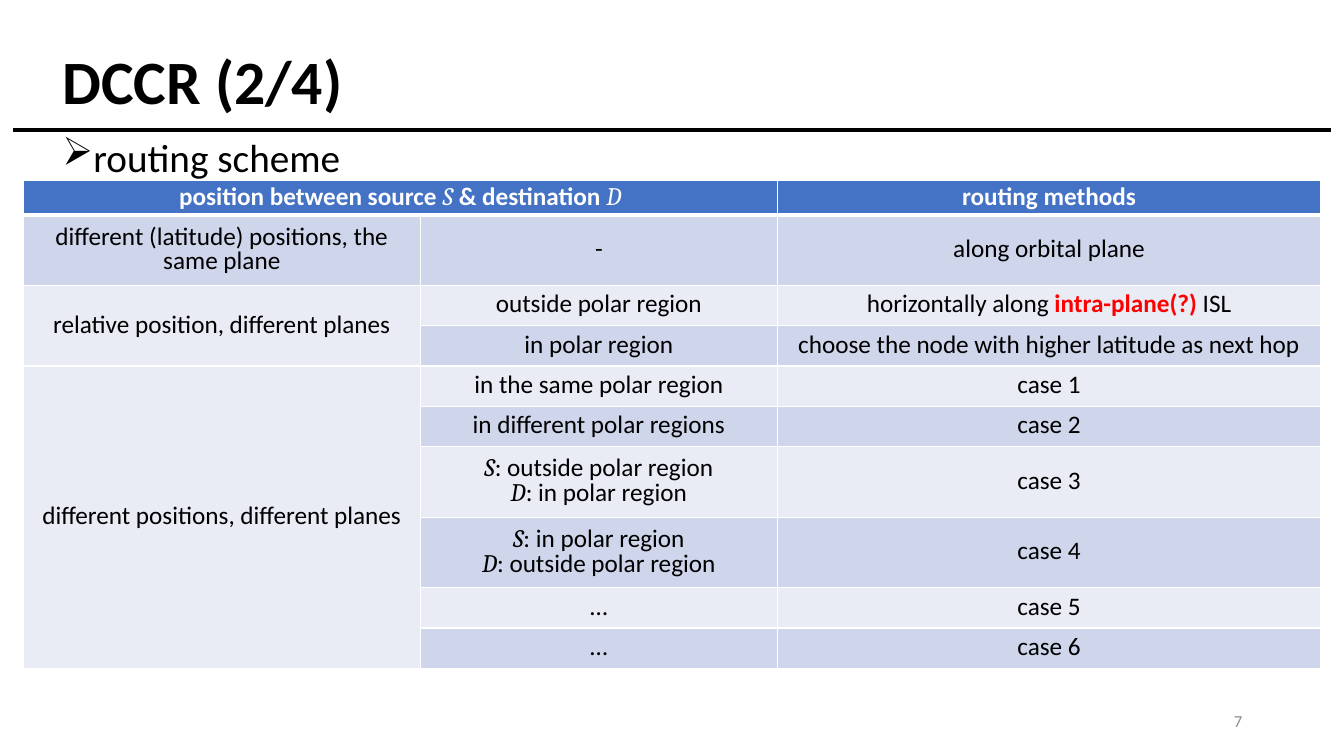
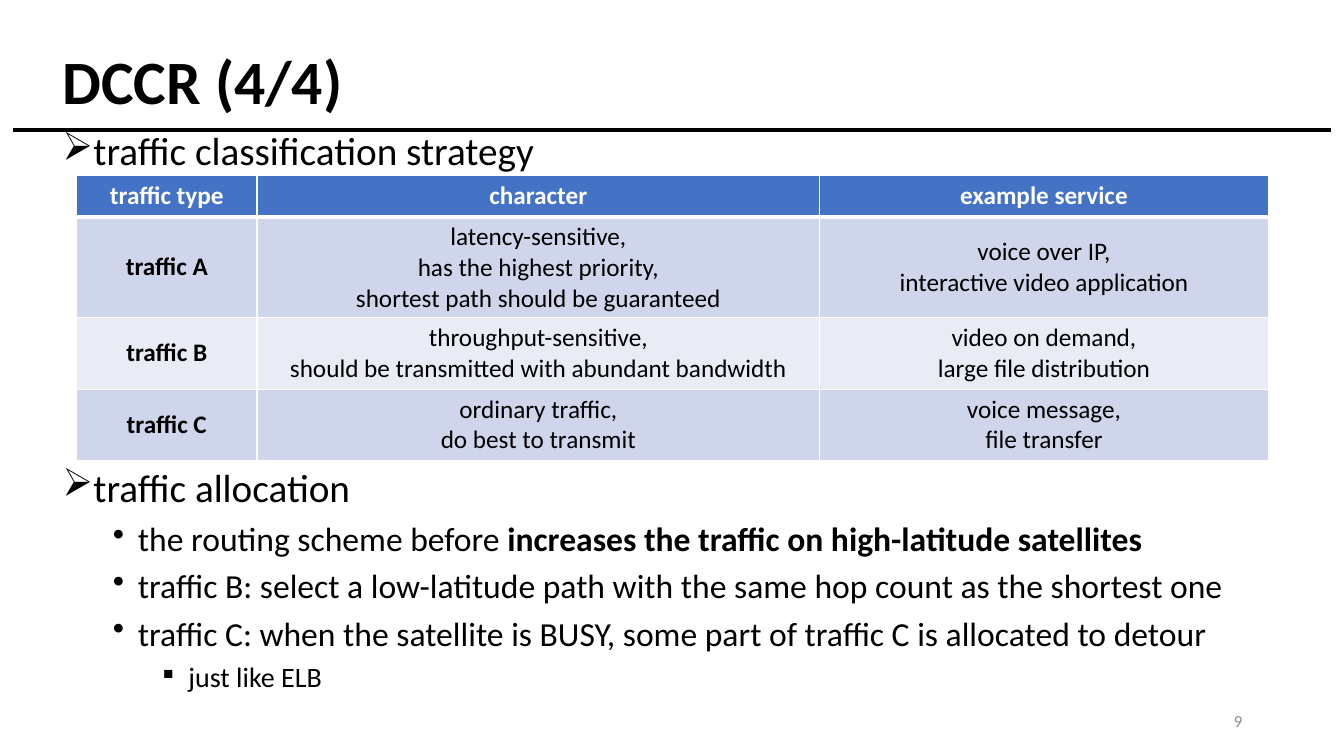
"""Builds two slides on the DCCR routing scheme and its traffic classes."""
from dataclasses import dataclass

from lxml import etree
from pptx import Presentation
from pptx import util as u
from pptx.dml.color import RGBColor
from pptx.enum import shapes, text
from pptx.oxml import ns


@dataclass(frozen=True)
class Theme:
    """Colours, fonts and type sizes of the deck."""
    black: str = "000000"
    white: str = "FFFFFF"
    red: str = "FF0000"
    grey: str = "8C8C8C"
    header: str = "4472C4"
    bands: tuple = ("E9EBF5", "CFD5EA")
    font: str = "Calibri"
    math_font: str = "Cambria"
    title_size: int = 44
    table_size: int = 18
    number_size: int = 12
    level_sizes: tuple = (28, 24, 20)


@dataclass(frozen=True)
class Span:
    """A piece of text that differs from the rest of its paragraph."""
    text: str
    font: str | None = None
    bold: bool | None = None
    italic: bool | None = None
    colour: str | None = None


THEME = Theme()
BULLETS = (("➢", 100), ("•", 100), ("■", 50))
SOURCE = Span("S", font=THEME.math_font, bold=False, italic=True)
DESTINATION = Span("D", font=THEME.math_font, bold=False, italic=True)

ROUTING_ROWS = [
    [("position between source ", SOURCE, " & destination ", DESTINATION), "", "routing methods"],
    ["different (latitude) positions, the same plane", "-", "along orbital plane"],
    ["relative position, different planes", "outside polar region",
     ("horizontally along ", Span("intra-plane(?)", bold=True, colour=THEME.red), " ISL")],
    ["", "in polar region", "choose the node with higher latitude as next hop"],
    ["different positions, different planes", "in the same polar region", "case 1"],
    ["", "in different polar regions", "case 2"],
    ["", [(SOURCE, ": outside polar region"), (DESTINATION, ": in polar region")], "case 3"],
    ["", [(SOURCE, ": in polar region"), (DESTINATION, ": outside polar region")], "case 4"],
    ["", "…", "case 5"],
    ["", "…", "case 6"],
]
ROUTING_MERGES = [(0, 0, 0, 1), (2, 0, 3, 0), (4, 0, 9, 0)]

TRAFFIC_ROWS = [
    ["traffic type", "character", "example service"],
    ["traffic A",
     ["latency-sensitive,", "has the highest priority,", "shortest path should be guaranteed"],
     ["voice over IP,", "interactive video application"]],
    ["traffic B",
     ["throughput-sensitive,", "should be transmitted with abundant bandwidth"],
     ["video on demand,", "large file distribution"]],
    ["traffic C",
     ["ordinary traffic,", "do best to transmit"],
     ["voice message,", "file transfer"]],
]

ALLOCATION = [
    (0, "traffic allocation"),
    (1, ("the routing scheme before ",
         Span("increases the traffic on high-latitude satellites", bold=True))),
    (1, "traffic B: select a low-latitude path with the same hop count as the shortest one"),
    (1, "traffic C: when the satellite is BUSY, some part of traffic C is allocated to detour"),
    (2, "just like ELB"),
]


def style_font(font, size, colour, bold=False):
    """Set the common properties of a font."""
    font.name = THEME.font
    font.size = u.Pt(size)
    font.bold = bold
    font.color.rgb = RGBColor.from_string(colour)


def write_spans(para, content):
    """Write a string, or a tuple of strings and spans, into a paragraph."""
    for piece in (content,) if isinstance(content, str) else content:
        span = Span(piece) if isinstance(piece, str) else piece
        run = para.add_run()
        run.text = span.text
        if span.font:
            run.font.name = span.font
        if span.bold is not None:
            run.font.bold = span.bold
        if span.italic is not None:
            run.font.italic = span.italic
        if span.colour:
            run.font.color.rgb = RGBColor.from_string(span.colour)


def paragraphs(frame, count):
    """Return the given number of paragraphs of an empty text frame."""
    return [frame.paragraphs[0]] + [frame.add_paragraph() for _ in range(count - 1)]


def set_bullet(para, level):
    """Give a paragraph the bullet and hanging indent of its level."""
    char, percent = BULLETS[level]
    props = para._p.get_or_add_pPr()
    props.set("marL", str(u.Inches(0.25 + 0.5 * level)))
    props.set("indent", str(u.Inches(-0.25)))
    etree.SubElement(props, ns.qn("a:buSzPct"), val=str(percent * 1000))
    etree.SubElement(props, ns.qn("a:buChar"), char=char)


def add_text_box(page, left, top, width, height):
    """Add a wrapping text box and return its frame."""
    box = page.shapes.add_textbox(*map(u.Inches, (left, top, width, height)))
    box.text_frame.word_wrap = True
    return box.text_frame


def add_bullets(page, top, height, items, line_spacing=0.9):
    """Add a list of (level, content) bullets."""
    frame = add_text_box(page, 0.52, top, 12.29, height)
    for para, (level, content) in zip(paragraphs(frame, len(items)), items):
        set_bullet(para, level)
        para.level = level
        para.space_before = u.Pt(5 if level else 10)
        para.line_spacing = 1.0 if level else line_spacing
        style_font(para.font, THEME.level_sizes[level], THEME.black)
        write_spans(para, content)


def set_borders(cell, row):
    """Draw white cell borders, with a thick one under the header."""
    props = cell._tc.get_or_add_tcPr()
    widths = {"lnL": 1, "lnR": 1, "lnT": 3 if row == 1 else 1, "lnB": 3 if row == 0 else 1}
    for side, width in widths.items():
        line = etree.SubElement(props, ns.qn(f"a:{side}"), w=str(u.Pt(width)))
        fill = etree.SubElement(line, ns.qn("a:solidFill"))
        etree.SubElement(fill, ns.qn("a:srgbClr"), val=THEME.white)


def fill_cell(cell, row, content, bold, line_spacing):
    """Format a table cell and write its lines."""
    set_borders(cell, row)
    cell.fill.solid()
    cell.fill.fore_color.rgb = RGBColor.from_string(THEME.bands[row % 2] if row else THEME.header)
    cell.vertical_anchor = text.MSO_ANCHOR.MIDDLE
    lines = content if isinstance(content, list) else [content]
    for para, line in zip(paragraphs(cell.text_frame, len(lines)), lines):
        para.alignment = text.PP_ALIGN.CENTER
        para.line_spacing = line_spacing
        style_font(para.font, THEME.table_size, THEME.black if row else THEME.white, bold)
        if line:
            write_spans(para, line)


def add_banded_table(page, left, top, widths, heights, rows,
                     merges=(), line_spacing=1.0, bold_labels=False):
    """Add a table with a header row and alternating row colours."""
    frame = page.shapes.add_table(len(rows), len(widths), u.Inches(left), u.Inches(top),
                                  u.Inches(sum(widths)), u.Inches(sum(heights)))
    table = frame.table
    table.horz_banding = False
    for column, width in zip(table.columns, widths):
        column.width = u.Inches(width)
    for table_row, height in zip(table.rows, heights):
        table_row.height = u.Inches(height)
    for row, contents in enumerate(rows):
        for col, content in enumerate(contents):
            bold = row == 0 or (bold_labels and col == 0)
            fill_cell(table.cell(row, col), row, content, bold, line_spacing)
    for first_row, first_col, last_row, last_col in merges:
        table.cell(first_row, first_col).merge(table.cell(last_row, last_col))


def add_title(page, title):
    """Place and format the title placeholder."""
    holder = page.shapes.title
    holder.left, holder.top, holder.width, holder.height = map(u.Inches, (0.52, 0.28, 8.36, 1.12))
    frame = holder.text_frame
    frame.text = title
    frame.auto_size = text.MSO_AUTO_SIZE.NONE
    frame.vertical_anchor = text.MSO_ANCHOR.MIDDLE
    para = frame.paragraphs[0]
    para.alignment = text.PP_ALIGN.LEFT
    para.line_spacing = 0.9
    style_font(para.font, THEME.title_size, THEME.black, bold=True)


def add_title_rule(page):
    """Draw the black line under the title."""
    rule = page.shapes.add_connector(shapes.MSO_CONNECTOR.STRAIGHT,
                                     *map(u.Inches, (0.13, 1.29, 13.2, 1.29)))
    rule.line.color.rgb = RGBColor.from_string(THEME.black)
    rule.line.width = u.Pt(3)
    etree.SubElement(rule._element.spPr, ns.qn("a:effectLst"))


def add_page_number(page, number):
    """Add the slide number at the lower right."""
    frame = add_text_box(page, 9.42, 6.95, 3, 0.4)
    frame.vertical_anchor = text.MSO_ANCHOR.MIDDLE
    para = frame.paragraphs[0]
    para.text = str(number)
    para.alignment = text.PP_ALIGN.RIGHT
    style_font(para.font, THEME.number_size, THEME.grey)


def add_page(deck, title, number):
    """Add a slide with the shared title, rule and number."""
    page = deck.slides.add_slide(deck.slide_layouts.get_by_name("Title Only"))
    add_title_rule(page)
    add_title(page, title)
    add_page_number(page, number)
    return page


def main():
    """Build and save the deck."""
    deck = Presentation()
    deck.slide_width, deck.slide_height = u.Inches(13.33), u.Inches(7.5)

    routing = add_page(deck, "DCCR (2/4)", 7)
    add_bullets(routing, 1.27, 0.55, [(0, "routing scheme")], line_spacing=1.0)
    add_banded_table(routing, 0.23, 1.79, (3.94, 3.54, 5.39),
                     (0.33, 0.7, *[0.4] * 4, 0.7, 0.7, 0.4, 0.4),
                     ROUTING_ROWS, ROUTING_MERGES, line_spacing=0.8)

    traffic = add_page(deck, "DCCR (4/4)", 9)
    add_bullets(traffic, 1.26, 0.5, [(0, "traffic classification strategy")])
    add_banded_table(traffic, 0.76, 1.74, (1.79, 5.58, 4.45), (0.41, 1, 0.71, 0.71),
                     TRAFFIC_ROWS, bold_labels=True)
    add_bullets(traffic, 4.6, 2.4, ALLOCATION)

    deck.save("out.pptx")


if __name__ == "__main__":
    main()
